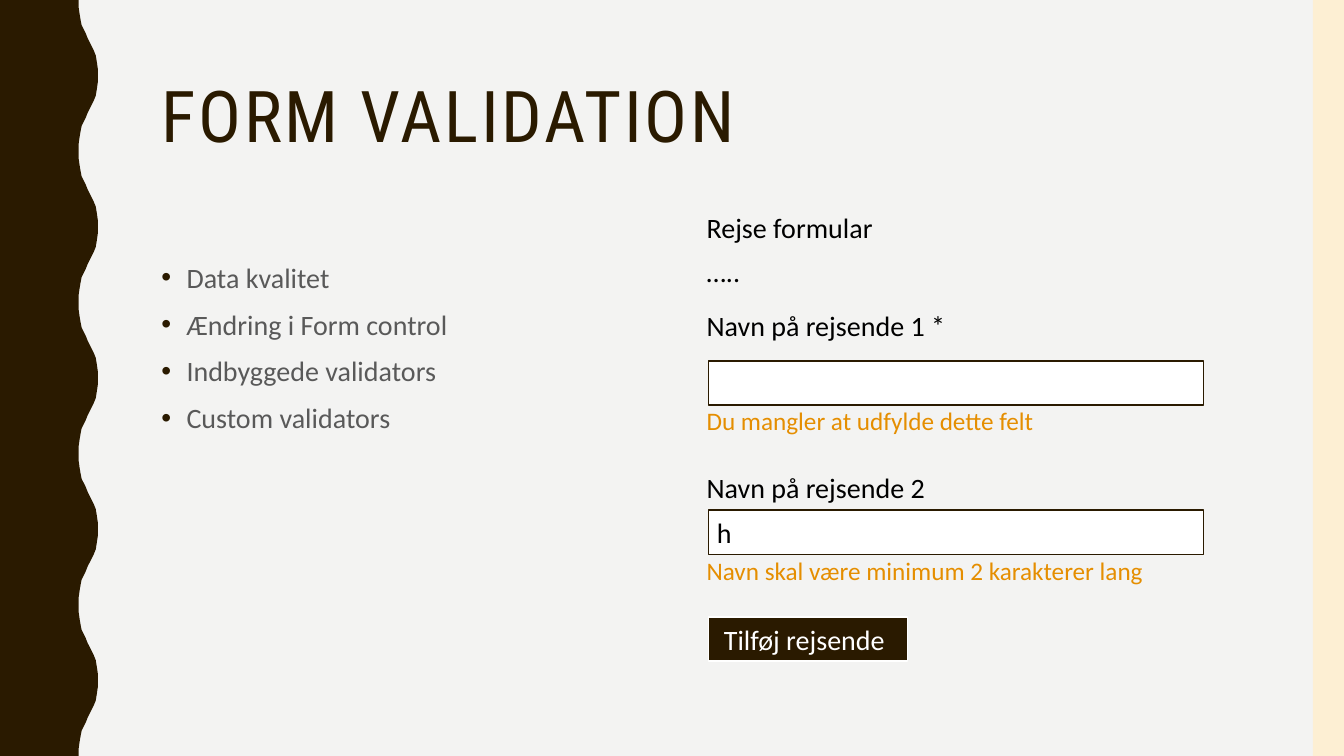
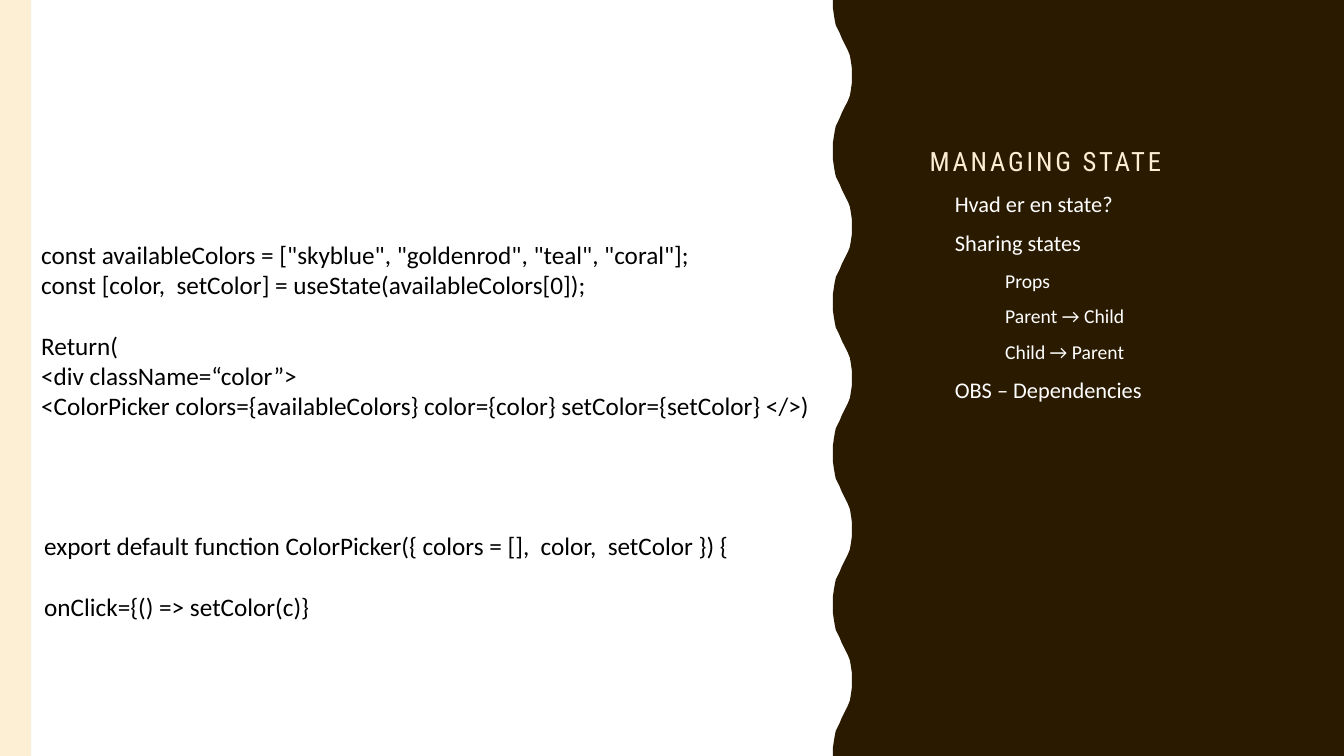
from lxml.etree import SubElement
from pptx import Presentation
from pptx.dml.color import RGBColor
from pptx.enum.shapes import MSO_SHAPE as Preset
from pptx.enum.text import MSO_ANCHOR as Anchor, MSO_AUTO_SIZE as AutoSize, PP_ALIGN as Align
from pptx.oxml.ns import qn
from pptx.util import Pt

PX = 9144  # 100 px to the inch
WIDTH, HEIGHT = 1333, 750
BAND_WIDTH = 31
COLORS = {
    "brown": "2A1A00", "cream": "FDEFD3", "paper": "F3F3F2", "white": "FFFFFF",
    "gray": "595959", "black": "000000", "orange": "E58E00",
}
TITLE_FONT, TEXT_FONT = "Roboto Condensed", "Calibri"

# Half a wave as (x, y); it is mirrored and repeated down the page
HALF_WAVE = [(0, 0), (0, 7), (1, 14), (2, 20), (3, 25), (5, 29), (7, 33), (9, 38),
             (11, 42), (13, 46), (15, 50), (17, 55), (18, 61), (19, 68), (19, 75)]
WAVE_LENGTH = 150

VALIDATION_TITLE = "FORM VALIDATION"
VALIDATION_TOPICS = [(0, "Data kvalitet"), (0, "Ændring i Form control"),
                     (0, "Indbyggede validators"), (0, "Custom validators")]
FORM_LEFT, FIELD_LEFT = 691, 703
FORM_LINES = [  # text, top, size, color
    ("Rejse formular", 204, 20, "black"),
    ("…..", 248, 20, "black"),
    ("Navn på rejsende 1 *", 301, 20, "black"),
    ("Du mangler at udfylde dette felt", 397, 18, "orange"),
    ("Navn på rejsende 2", 462, 20, "black"),
    ("Navn skal være minimum 2 karakterer lang", 546, 18, "orange"),
]
FORM_CONTROLS = [  # text, top, width, inset, fill, line, text color
    ("", 358, 491, 8, "white", "brown", "black"),
    ("h", 506, 491, 8, "white", "brown", "black"),
    ("Tilføj rejsende", 612, 197, 15, "brown", "white", "white"),
]

STATE_TITLE = "MANAGING STATE"
STATE_TOPICS = [(0, "Hvad er en state?"), (0, "Sharing states"), (1, "Props"),
                (1, "Parent → Child"), (1, "Child → Parent"), (0, "OBS – Dependencies")]
CODE_BLOCKS = [  # box, groups of lines
    ((31, 232, 795, 252), [
        ['const availableColors = ["skyblue", "goldenrod", "teal", "coral"];',
         "const [color,  setColor] = useState(availableColors[0]);"],
        ["Return(",
         "<div className=“color”>",
         "<ColorPicker colors={availableColors} color={color} setColor={setColor} </>)"],
    ]),
    ((34, 521, 795, 101), [
        ["export default function ColorPicker({ colors = [],  color,  setColor }) {"],
        ["onClick={() => setColor(c)}"],
    ]),
]


def rgb(name):
    return RGBColor.from_string(COLORS[name])


def emu(*lengths):
    return [length * PX for length in lengths]


def place(shape, box):
    shape.left, shape.top, shape.width, shape.height = emu(*box)


def paint(shape, fill, line=None):
    shape.shadow.inherit = False
    shape.fill.solid()
    shape.fill.fore_color.rgb = rgb(fill)
    if line:
        shape.line.color.rgb = rgb(line)
        shape.line.width = Pt(1)
    else:
        shape.line.fill.background()


def set_font(para, size, color, name=TEXT_FONT):
    font = para.font
    font.name, font.size = name, Pt(size)
    font.color.rgb = rgb(color)
    return font


def send_to_back(page, shape):
    tree = page.shapes._spTree
    tree.remove(shape._element)
    tree.insert(2, shape._element)


def add_wave_panel(page, edge, outer):
    """Fill from the outer side of the page to a wavy edge."""
    mirrored = [(x, WAVE_LENGTH - y) for x, y in reversed(HALF_WAVE[:-1])]
    wave = [(edge + x, top + y)
            for top in range(0, HEIGHT, WAVE_LENGTH)
            for x, y in HALF_WAVE + mirrored]
    builder = page.shapes.build_freeform(outer, 0, scale=PX)
    builder.add_line_segments(wave + [(outer, HEIGHT)], close=True)
    panel = builder.convert_to_shape()
    paint(panel, "brown")
    send_to_back(page, panel)


def add_band(page, left):
    band = page.shapes.add_shape(Preset.RECTANGLE, *emu(left, 0, BAND_WIDTH, HEIGHT))
    paint(band, "cream")
    send_to_back(page, band)


def add_page(deck, background, wave_edge, wave_outer, band_left):
    page = deck.slides.add_slide(deck.slide_layouts[1])
    page.background.fill.solid()
    page.background.fill.fore_color.rgb = rgb(background)
    add_wave_panel(page, wave_edge, wave_outer)
    add_band(page, band_left)
    return page


def set_title(page, text, box, size, color, anchor):
    title = page.shapes.title
    place(title, box)
    frame = title.text_frame
    frame.text = text
    frame.auto_size, frame.vertical_anchor = AutoSize.NONE, anchor
    para = frame.paragraphs[0]
    para.alignment, para.line_spacing = Align.LEFT, 0.9
    set_font(para, size, color, TITLE_FONT)._element.set("spc", "200")


def set_bullet(para, color):
    """Hang a coloured bullet, or keep only the indent when color is None."""
    props = para._p.get_or_add_pPr()
    props.set("marL", str((25 + 50 * para.level) * PX))
    props.set("indent", str(-25 * PX if color else 0))
    if color:
        SubElement(SubElement(props, qn("a:buClr")), qn("a:srgbClr")).set("val", COLORS[color])
        SubElement(props, qn("a:buChar")).set("char", "•")
    else:
        SubElement(props, qn("a:buNone"))


def set_topics(page, topics, box, sizes, color, bullet=None):
    body = page.placeholders[1]
    place(body, box)
    frame = body.text_frame
    frame.text = "\n".join(text for _, text in topics)
    frame.auto_size = AutoSize.NONE
    for para, (level, _) in zip(frame.paragraphs, topics):
        para.level = level
        set_bullet(para, bullet)
        para.line_spacing, para.space_before = 1.1, Pt(7)
        set_font(para, sizes[level], color)


def add_text(page, box, lines, size, color):
    frame = page.shapes.add_textbox(*emu(*box)).text_frame
    frame.word_wrap = True
    frame.text = "\n".join(lines)
    for para in frame.paragraphs:
        set_font(para, size, color)
    return frame


def add_control(page, text, top, width, inset, fill, line, color):
    control = page.shapes.add_shape(Preset.RECTANGLE, *emu(FIELD_LEFT, top, width, 44))
    paint(control, fill, line)
    if text:
        frame = control.text_frame
        frame.text = text
        frame.margin_left, frame.vertical_anchor = inset * PX, Anchor.MIDDLE
        frame.paragraphs[0].alignment = Align.LEFT
        set_font(frame.paragraphs[0], 20, color)


def add_code(page, box, groups):
    """Write groups of code lines, one line's height apart."""
    frame = add_text(page, box, [line for group in groups for line in group], 18, "black")
    start = 0
    for group in groups[:-1]:
        start += len(group)
        frame.paragraphs[start].space_before = Pt(22)


def build_validation(deck):
    page = add_page(deck, "paper", 78, 0, WIDTH - BAND_WIDTH)
    set_title(page, VALIDATION_TITLE, (150, 75, 1050, 162), 51, "brown", Anchor.TOP)
    set_topics(page, VALIDATION_TOPICS, (150, 250, 500, 392), [20], "gray", "brown")
    for control in FORM_CONTROLS:
        add_control(page, *control)
    for text, top, size, color in FORM_LINES:
        add_text(page, (FORM_LEFT, top, 543, 44), [text], size, color)


def build_state(deck):
    page = add_page(deck, "white", 826, WIDTH, 0)
    set_title(page, STATE_TITLE, (912, 50, 338, 131), 19, "cream", Anchor.BOTTOM)
    set_topics(page, STATE_TOPICS, (912, 181, 338, 462), [16, 14], "white")
    for box, groups in CODE_BLOCKS:
        add_code(page, box, groups)


def main():
    deck = Presentation()
    deck.slide_width, deck.slide_height = emu(WIDTH, HEIGHT)
    build_validation(deck)
    build_state(deck)
    deck.save("out.pptx")


if __name__ == "__main__":
    main()
